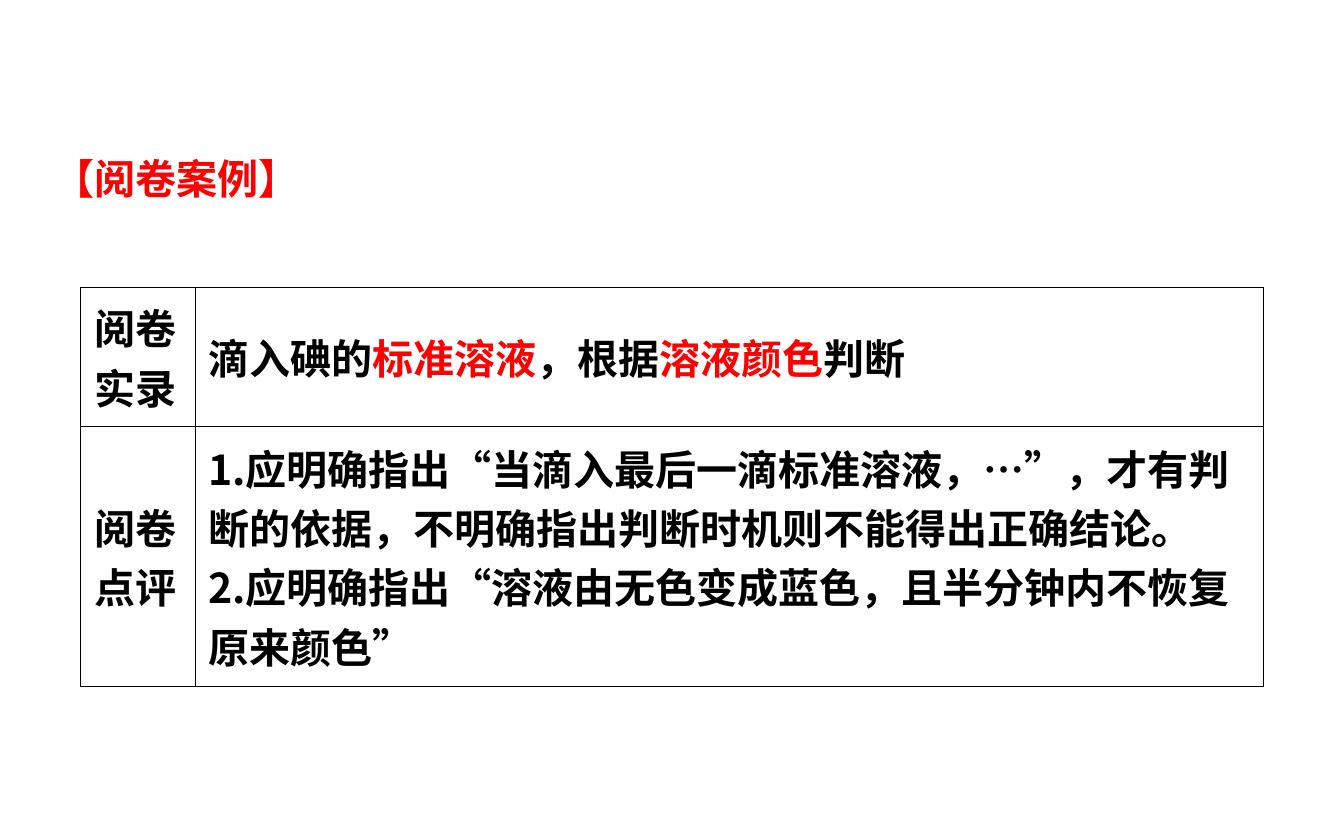
from dataclasses import dataclass

from lxml import etree
from pptx import Presentation
from pptx import util as u
from pptx.dml.color import RGBColor
from pptx.enum import text
from pptx.oxml.ns import qn


@dataclass(frozen=True)
class Theme:
    font: str = "Noto Sans CJK SC"
    size: float = 22
    ink: str = "000000"
    mark: str = "FF0000"
    outer: float = 0.75
    inner: float = 0.45


@dataclass(frozen=True)
class Part:
    words: str
    marked: bool = False


@dataclass(frozen=True)
class Row:
    height: float
    label: list[list[Part]]
    body: list[list[Part]]


THEME = Theme()
WIDTH, HEIGHT = 10, 6.25
COLS = (0.85, 7.95)
ROWS = [
    Row(1.03, [[Part("阅卷")], [Part("实录")]],
        [[Part("滴入碘的"), Part("标准溶液", True), Part("，根据"),
          Part("溶液颜色", True), Part("判断")]]),
    Row(1.94, [[Part("阅卷")], [Part("点评")]],
        [[Part("1.应明确指出“当滴入最后一滴标准溶液，…”，才有判断的依据，"
               "不明确指出判断时机则不能得出正确结论。")],
         [Part("2.应明确指出“溶液由无色变成蓝色，且半分钟内不恢复原来颜色”")]]),
]


def write(frame, paras: list[list[Part]]) -> None:
    frame.word_wrap = True
    for i, parts in enumerate(paras):
        para = frame.paragraphs[0] if i == 0 else frame.add_paragraph()
        para.alignment = text.PP_ALIGN.LEFT
        for part in parts:
            run = para.add_run()
            run.text = part.words
            font = run.font
            font.size, font.bold, font.name = u.Pt(THEME.size), True, THEME.font
            font.color.rgb = RGBColor.from_string(THEME.mark if part.marked else THEME.ink)
            # East Asian glyphs take their face from a:ea
            etree.SubElement(run._r.rPr, qn("a:ea"), typeface=THEME.font)


def border(cell, edges: dict[str, bool]) -> None:
    """Draw each side of a cell; True marks an outer edge of the table."""
    props = cell._tc.get_or_add_tcPr()
    for i, (side, outer) in enumerate(edges.items()):
        width = u.Pt(THEME.outer if outer else THEME.inner)
        line = etree.Element(qn(f"a:ln{side}"), w=str(int(width)))
        fill = etree.SubElement(line, qn("a:solidFill"))
        etree.SubElement(fill, qn("a:srgbClr"), val=THEME.ink)
        props.insert(i, line)


def head(slide) -> None:
    title = slide.shapes.title
    title.left, title.top = u.Inches(0.03 * WIDTH), u.Inches(0.8)
    title.width, title.height = u.Inches(9.43), u.Inches(0.76)
    frame = title.text_frame
    frame.auto_size = text.MSO_AUTO_SIZE.NONE
    frame.vertical_anchor = text.MSO_ANCHOR.TOP
    write(frame, [[Part("【阅卷案例】", True)]])
    frame.paragraphs[0].line_spacing = 1.8


def grid(slide) -> None:
    tall = sum(row.height for row in ROWS)
    table = slide.shapes.add_table(
        len(ROWS), len(COLS), u.Inches(0.06 * WIDTH), u.Inches(2.14),
        u.Inches(sum(COLS)), u.Inches(tall)).table
    table.first_row = table.horz_banding = False
    for col, wide in zip(table.columns, COLS):
        col.width = u.Inches(wide)
    for r, row in enumerate(ROWS):
        table.rows[r].height = u.Inches(row.height)
        for c, paras in enumerate((row.label, row.body)):
            cell = table.cell(r, c)
            cell.fill.background()
            cell.vertical_anchor = text.MSO_ANCHOR.MIDDLE
            write(cell.text_frame, paras)
            border(cell, {"L": c == 0, "R": c == len(COLS) - 1,
                          "T": r == 0, "B": r == len(ROWS) - 1})


def main() -> None:
    deck = Presentation()
    deck.slide_width, deck.slide_height = u.Inches(WIDTH), u.Inches(HEIGHT)
    slide = deck.slides.add_slide(deck.slide_layouts[5])
    head(slide)
    grid(slide)
    deck.save("out.pptx")


if __name__ == "__main__":
    main()
